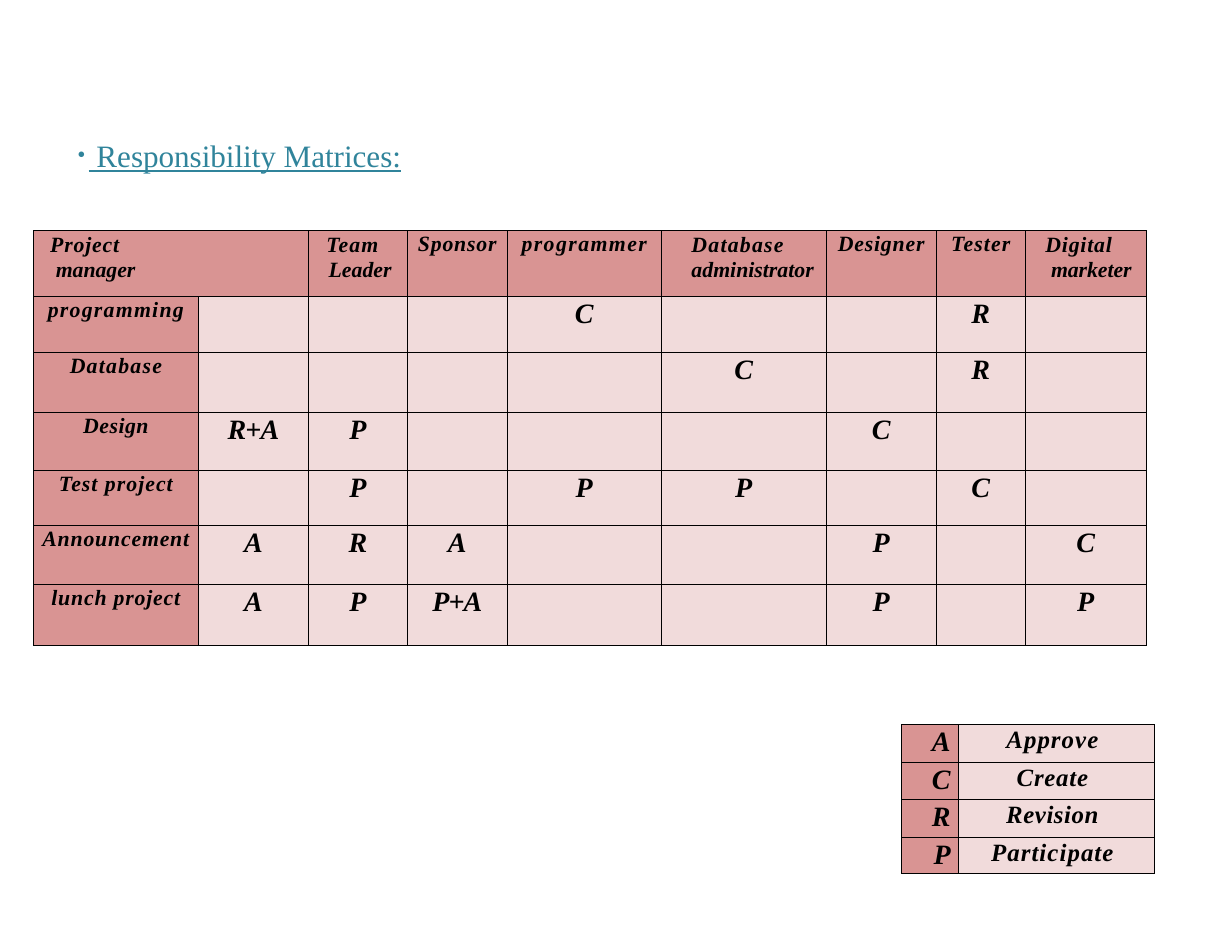
from lxml import etree
from pptx import Presentation
from pptx.dml.color import RGBColor
from pptx.enum import text
from pptx.oxml import ns
from pptx.util import Pt

FONT = "Times New Roman"
TEAL = RGBColor(0x30, 0x84, 0x9B)
BLACK = RGBColor(0x00, 0x00, 0x00)
ROSE = RGBColor(0xD9, 0x94, 0x93)
BLUSH = RGBColor(0xF1, 0xDB, 0xDB)
LEFT, CENTER, RIGHT = text.PP_ALIGN.LEFT, text.PP_ALIGN.CENTER, text.PP_ALIGN.RIGHT

MATRIX_COLUMNS = [106.1, 70.7, 63.6, 64.3, 99, 106.1, 70.7, 57.2, 77.8]
MATRIX_ROWS = [42.4, 36, 38.6, 37.3, 35.4, 37.9, 39.2]
# One-line headers: column, wording, letter spacing
SHORT_HEADERS = [(3, "Sponsor", 0.5), (4, "programmer", 0.9),
                 (6, "Designer", 0.5), (7, "Tester", 0.7)]
# Two-line headers: column, lines with letter spacing, left margin, indent
TWO_LINE_HEADERS = [
    (0, ("Project", 0.5), ("manager", -0.05), 14.4, -3.6),
    (2, ("Team", 0.7), ("Leader", 0), 13, -1.5),
    (5, ("Database", 0.8), ("administrator", 0), 19.4, 0),
    (8, ("Digital", 0.5), ("marketer", -0.05), 16.6, -3.6),
]
# Task, letter spacing, role code by column
TASKS = [
    ("programming", 0.8, {4: "C", 7: "R"}),
    ("Database", 0.8, {5: "C", 7: "R"}),
    ("Design", 0.3, {1: "R+A", 2: "P", 6: "C"}),
    ("Test project", 0.65, {2: "P", 4: "P", 5: "P", 7: "C"}),
    ("Announcement", 0.5, {1: "A", 2: "R", 3: "A", 6: "P", 8: "C"}),
    ("lunch project", 0.5, {1: "A", 2: "P", 3: "P+A", 6: "P", 8: "P"}),
]
LEGEND_COLUMNS = [36.6, 126]
LEGEND_ROWS = [24.4, 23.8, 24.4, 23.1]
LEGEND = [("A", "Approve", 0.7), ("C", "Create", 0.5),
          ("R", "Revision", 0.4), ("P", "Participate", 0.7)]


def add_span(para, wording, spacing):
    """Add a run with letter spacing in points."""
    span = para.add_run()
    span.text = wording
    span.font._element.set("spc", str(round(spacing * 100)))


def set_indent(para, margin, indent):
    properties = para._p.get_or_add_pPr()
    properties.set("marL", str(Pt(margin)))
    properties.set("indent", str(Pt(indent)))
    return properties


def add_heading(page):
    title = page.shapes.title
    title.left, title.top, title.width, title.height = Pt(49), Pt(87.6), Pt(216), Pt(26)
    frame = title.text_frame
    frame.margin_left = frame.margin_top = frame.margin_right = frame.margin_bottom = 0
    frame.vertical_anchor = text.MSO_ANCHOR.TOP
    frame.auto_size = text.MSO_AUTO_SIZE.NONE
    frame.word_wrap = True
    para = frame.paragraphs[0]
    para.alignment = LEFT
    para.space_before = Pt(1)
    properties = set_indent(para, 8, -7.3)
    etree.SubElement(properties, ns.qn("a:buSzPct"), val="75000")
    etree.SubElement(properties, ns.qn("a:buFont"), typeface=FONT)
    etree.SubElement(properties, ns.qn("a:buChar"), char="•")
    font = para.font
    font.name, font.size, font.underline = FONT, Pt(20), True
    font.color.rgb = TEAL
    add_span(para, " ", -1.1)
    add_span(para, "Responsibility Matrices:", -0.02)


def style_cell(cell, fill):
    cell.margin_left = cell.margin_top = cell.margin_right = cell.margin_bottom = 0
    properties = cell._tc.get_or_add_tcPr()
    for side in ("lnL", "lnR", "lnT", "lnB"):
        line = etree.SubElement(properties, ns.qn("a:" + side), w=str(Pt(0.5)))
        paint = etree.SubElement(line, ns.qn("a:solidFill"))
        etree.SubElement(paint, ns.qn("a:srgbClr"), val=str(BLACK))
    cell.fill.solid()
    cell.fill.fore_color.rgb = fill


def add_grid(page, left, top, columns, rows, is_label):
    """Add a bordered table; is_label(row, column) picks the darker cells."""
    frame = page.shapes.add_table(len(rows), len(columns), Pt(left), Pt(top),
                                  Pt(sum(columns)), Pt(sum(rows)))
    table = frame.table
    table.first_row = table.horz_banding = False
    for column, width in zip(table.columns, columns):
        column.width = Pt(width)
    for row, height in zip(table.rows, rows):
        row.height = Pt(height)
    for r in range(len(rows)):
        for c in range(len(columns)):
            style_cell(table.cell(r, c), ROSE if is_label(r, c) else BLUSH)
    return table


def write_cell(cell, wording, spacing, size, leading, alignment=CENTER):
    para = cell.text_frame.paragraphs[0]
    para.alignment = alignment
    para.line_spacing = Pt(leading)
    font = para.font
    font.name, font.size, font.bold, font.italic = FONT, Pt(size), True, True
    font.color.rgb = BLACK
    add_span(para, wording, spacing)
    return para


def add_matrix(page):
    table = add_grid(page, 21.5, 148.2, MATRIX_COLUMNS, MATRIX_ROWS,
                     lambda r, c: r == 0 or c == 0)
    table.cell(0, 0).merge(table.cell(0, 1))
    for column, wording, spacing in SHORT_HEADERS:
        write_cell(table.cell(0, column), wording, spacing, 14, 16.4)
    for column, first, second, margin, indent in TWO_LINE_HEADERS:
        cell = table.cell(0, column)
        cell.margin_top = Pt(0.7)
        para = write_cell(cell, *first, 14, 16.4, LEFT)
        para.space_before = Pt(0.4)
        set_indent(para, margin, indent)
        para.add_line_break()
        add_span(para, *second)
    for r, (task, spacing, codes) in enumerate(TASKS, start=1):
        write_cell(table.cell(r, 0), task, spacing, 14, 16.4)
        for column, code in codes.items():
            tightness = -0.5 if "+" in code else 0
            write_cell(table.cell(r, column), code, tightness, 18, 21)


def add_legend(page):
    table = add_grid(page, 579.5, 465.8, LEGEND_COLUMNS, LEGEND_ROWS,
                     lambda r, c: c == 0)
    for r, (code, meaning, spacing) in enumerate(LEGEND):
        code_cell, meaning_cell = table.cell(r, 0), table.cell(r, 1)
        code_cell.margin_right = meaning_cell.margin_right = Pt(5)
        write_cell(code_cell, code, 0, 18, 21, RIGHT)
        write_cell(meaning_cell, meaning, spacing, 16, 18.7)


def main():
    deck = Presentation()
    deck.slide_width, deck.slide_height = Pt(792), Pt(612)
    page = deck.slides.add_slide(deck.slide_layouts[5])
    add_heading(page)
    add_matrix(page)
    add_legend(page)
    deck.save("out.pptx")


if __name__ == "__main__":
    main()
